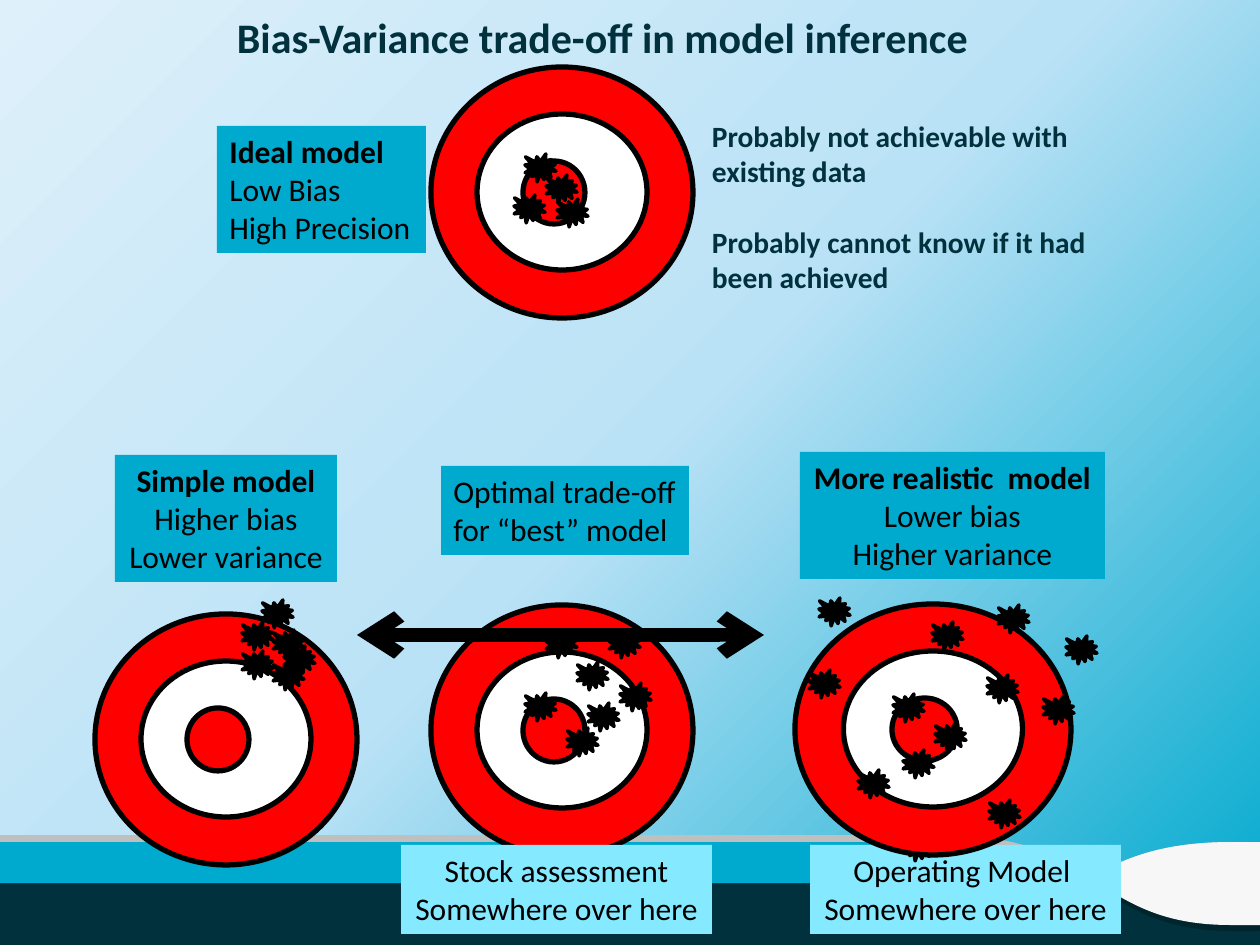
from lxml.etree import SubElement
from pptx import Presentation
from pptx.dml.color import RGBColor
from pptx.enum.shapes import MSO_CONNECTOR, MSO_SHAPE
from pptx.enum.text import MSO_ANCHOR, MSO_AUTO_SIZE, PP_ALIGN
from pptx.oxml import parse_xml
from pptx.oxml.ns import nsdecls, qn
from pptx.util import Pt

PX = 914400 / 126
FONT = "Calibri"
COLORS = {
    "navy": "00313C", "shade": "00252D", "blue": "00A9CE", "pale": "85E9FF",
    "grey": "BFBFBF", "light": "F7F7F7", "red": "FF0000", "white": "FFFFFF",
    "black": "000000",
}
BACKGROUND_STOPS = [(0, "00A9CE"), (50, "BAE2F6"), (100, "DEF0FA")]

FOOTER_BAR = (0, 877, 1260, 68)
# Footer outlines: a pair is a corner, six numbers are a Bezier curve.
LOWER_EDGE = (1058, 883, 1076, 882, 1087, 877)
RIGHT_EDGE = (1144, 842, 1113, 868, 1087, 877)
FOOTER_WAVES = [
    ("grey", [
        [(1260, 842), (1232, 842), RIGHT_EDGE, (1260, 877), (1260, 931)],
        [(950, 835), (0, 835), (0, 877), (1087, 877), (1058, 853, 1009, 835, 950, 835)],
    ]),
    ("shade", [
        [(1087, 877), (0, 877), (0, 883), (1002, 883), LOWER_EDGE],
        [(1260, 877), (1087, 877), (1118, 902, 1157, 931, 1231, 931), (1260, 931)],
    ]),
    ("blue", [[(1087, 877), (1055, 858, 1009, 842, 950, 842), (0, 842), (0, 883),
               (1002, 883), LOWER_EDGE]]),
    ("light", [[(1232, 842), RIGHT_EDGE, (1126, 900, 1157, 925, 1231, 925),
                (1260, 925), (1260, 842)]]),
]

# Texts: box, paragraphs, point size, space before later paragraphs
NOTES = [
    ((237, 11, 756, 67), ["Bias-Variance trade-off in model inference"], 24, 0),
    ((712, 118, 426, 152), ["Probably not achievable with existing data",
                            "Probably cannot know if it had been achieved"], 16.8, 20),
]

# Labels: box, colour, lines, bold first line, centred, wrapped
OPERATING_LABEL = ((810, 845, 311, 89), "pale",
                   ["Operating Model ", "Somewhere over here"], False, True, False)
LABELS = [
    ((217, 126, 209, 127), "blue",
     ["Ideal model", "Low Bias", "High Precision"], True, False, False),
    ((115, 455, 222, 127), "blue",
     ["Simple model", "Higher bias", "Lower variance"], True, True, False),
    ((800, 452, 305, 127), "blue",
     ["More realistic  model", "Lower bias", "Higher variance"], True, True, False),
    ((441, 466, 248, 89), "blue",
     ["Optimal trade-off for “best” model"], False, False, True),
    ((401, 845, 311, 89), "pale",
     ["Stock assessment", "Somewhere over here"], False, True, False),
]

TARGET_WIDTH = 262
RINGS = [(0, 0, 262, 251, "red"), (46, 47, 170, 156, "white"), (92, 94, 62, 63, "red")]
SHOT_SIZE = (31, 28)
STRAY_SHOT = (903, 833)
# Targets: left, top, width, shots
TARGETS = [
    (431, 67, 262, [(525, 154), (557, 199), (514, 195), (546, 175)]),
    (95, 614, 262, [(242, 622), (262, 600), (284, 646), (242, 651), (273, 630), (273, 662)]),
    (795, 604, 276, [(819, 598), (809, 670), (858, 770), (989, 800), (935, 723), (893, 694),
                     (1043, 696), (932, 622), (998, 605), (1066, 636), (903, 750), (987, 675)]),
    (431, 605, 262, [(525, 693), (588, 703), (546, 630), (567, 728), (609, 630), (620, 683),
                     (577, 662)]),
]
ARROW = (357, 635, 764, 635)


def emu(*lengths):
    return [round(length * PX) for length in lengths]


def rgb(name):
    return RGBColor.from_string(COLORS[name])


def paint(shape, fill, line_width=0):
    shape.shadow.inherit = False
    shape.fill.solid()
    shape.fill.fore_color.rgb = rgb(fill)
    if line_width:
        shape.line.color.rgb = rgb("black")
        shape.line.width = Pt(line_width)
    else:
        shape.line.fill.background()


def add_preset(slide, kind, box, fill, line_width=0):
    shape = slide.shapes.add_shape(kind, *emu(*box))
    paint(shape, fill, line_width)
    return shape


def set_background(slide):
    slide.background.fill.gradient()
    gradient = slide.element.find(".//" + qn("a:gradFill"))
    stops = "".join(f'<a:gs pos="{position * 1000}"><a:srgbClr val="{color}"/></a:gs>'
                    for position, color in BACKGROUND_STOPS)
    gradient.getparent().replace(gradient, parse_xml(
        f'<a:gradFill {nsdecls("a")} rotWithShape="1"><a:gsLst>{stops}</a:gsLst>'
        '<a:path path="circle"><a:fillToRect l="100000" t="100000"/></a:path></a:gradFill>'))


def add_wave(slide, fill, contours):
    """Build the outline from its corners, then bend the curved segments."""
    first, *others = [[emu(*part[-2:]) for part in contour] for contour in contours]
    builder = slide.shapes.build_freeform(*first[0])
    builder.add_line_segments(first[1:])
    for corners in others:
        builder.move_to(*corners[0])
        builder.add_line_segments(corners[1:])
    shape = builder.convert_to_shape()
    paint(shape, fill)

    segments = list(shape.element.iter(qn("a:lnTo")))
    position = 0
    for contour in contours:
        for part in contour[1:]:
            if len(part) == 6:
                bend(segments[position], emu(*part), shape.left, shape.top)
            position += 1
        if contour[-1][-2:] != contour[0] and is_closing_line(segments, position):
            position += 1


def is_closing_line(segments, position):
    """Tell whether this line runs back to the start of its contour."""
    if position >= len(segments):
        return False
    following = segments[position].getnext()
    return following is not None and following.tag == qn("a:close")


def bend(segment, coordinates, left, top):
    segment.tag = qn("a:cubicBezTo")
    for point in list(segment):
        segment.remove(point)
    for x, y in zip(coordinates[::2], coordinates[1::2]):
        SubElement(segment, qn("a:pt"), x=str(x - left), y=str(y - top))


def write(text_frame, lines, size, color, bold_lines, align=PP_ALIGN.LEFT, gap=0):
    text_frame.text = "\n".join(lines)
    text_frame.vertical_anchor = MSO_ANCHOR.TOP
    for index, paragraph in enumerate(text_frame.paragraphs):
        paragraph.alignment = align
        if index and gap:
            paragraph.space_before = Pt(gap)
        for run in paragraph.runs:
            run.font.name = FONT
            run.font.size = Pt(size)
            run.font.bold = index < bold_lines
            run.font.color.rgb = rgb(color)


def add_note(slide, box, lines, size, gap):
    text_frame = slide.shapes.add_textbox(*emu(*box)).text_frame
    text_frame.word_wrap = True
    text_frame.margin_left = text_frame.margin_right = 0
    text_frame.margin_top = text_frame.margin_bottom = 0
    write(text_frame, lines, size, "navy", len(lines), gap=gap)


def add_label(slide, box, fill, lines, bold_first, centred, wrapped):
    text_frame = add_preset(slide, MSO_SHAPE.RECTANGLE, box, fill).text_frame
    text_frame.word_wrap = wrapped
    text_frame.auto_size = MSO_AUTO_SIZE.SHAPE_TO_FIT_TEXT
    align = PP_ALIGN.CENTER if centred else PP_ALIGN.LEFT
    write(text_frame, lines, 18, "black", int(bold_first), align)


def add_shot(slide, position):
    add_preset(slide, MSO_SHAPE.EXPLOSION1, position + SHOT_SIZE, "black", 2)


def add_target(slide, left, top, width, shots):
    stretch = width / TARGET_WIDTH
    for x, y, ring_width, ring_height, fill in RINGS:
        box = (left + x * stretch, top + y, ring_width * stretch, ring_height)
        add_preset(slide, MSO_SHAPE.OVAL, box, fill, 3)
    for shot in shots:
        add_shot(slide, shot)


def add_double_arrow(slide):
    arrow = slide.shapes.add_connector(MSO_CONNECTOR.STRAIGHT, *emu(*ARROW))
    arrow.line.color.rgb = rgb("black")
    arrow.line.width = Pt(7.75)
    properties = arrow.element.spPr
    for end in ("a:headEnd", "a:tailEnd"):
        SubElement(properties.find(qn("a:ln")), qn(end), type="arrow")
    SubElement(properties, qn("a:effectLst"))


def main():
    presentation = Presentation()
    presentation.slide_width, presentation.slide_height = emu(1260, 945)
    slide = presentation.slides.add_slide(presentation.slide_layouts[6])
    set_background(slide)
    add_preset(slide, MSO_SHAPE.RECTANGLE, FOOTER_BAR, "navy")
    for fill, contours in FOOTER_WAVES:
        add_wave(slide, fill, contours)
    for note in NOTES:
        add_note(slide, *note)
    add_label(slide, *OPERATING_LABEL)
    add_shot(slide, STRAY_SHOT)
    for target in TARGETS:
        add_target(slide, *target)
    add_double_arrow(slide)
    for label in LABELS:
        add_label(slide, *label)
    presentation.save("out.pptx")


if __name__ == "__main__":
    main()
